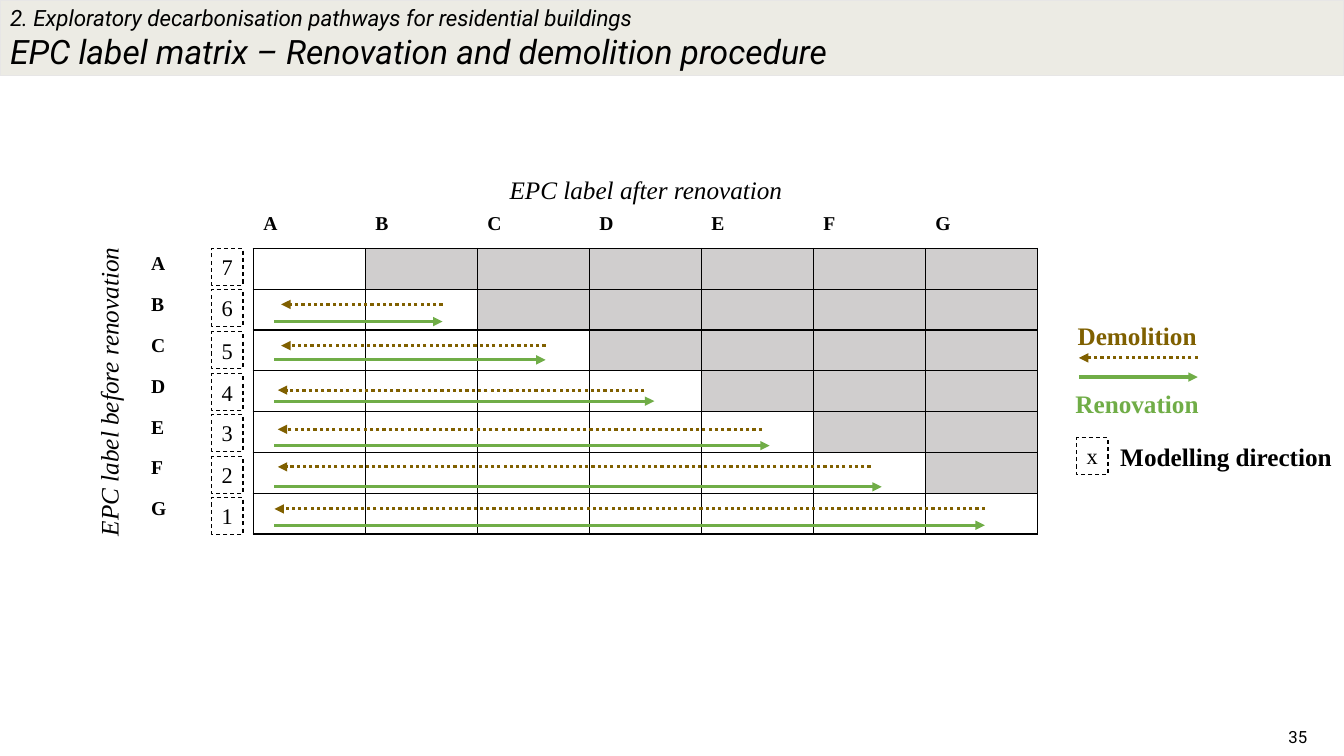
import lxml.etree
import pptx
import pptx.dml.color
import pptx.enum.dml
import pptx.enum.shapes
import pptx.enum.text
import pptx.oxml.ns
import pptx.util

LABELS = "ABCDEFG"
BLACK, WHITE, GREY = "000000", "FFFFFF", "D0CECE"
GREEN, BROWN = "70AD47", "806000"
DOTTED = pptx.enum.dml.MSO_LINE.ROUND_DOT

# Positions in grid columns and rows, for labels B to G: start, end, row
RENOVATIONS = [(1.19, 2.69, 2.79), (1.19, 3.61, 3.73), (1.19, 4.58, 4.74),
               (1.19, 5.61, 5.83), (1.19, 6.61, 6.84), (1.19, 7.53, 7.78)]
DEMOLITIONS = [(2.69, 1.25, 2.37), (3.61, 1.25, 3.38), (4.49, 1.22, 4.47),
               (5.54, 1.22, 5.43), (6.51, 1.22, 6.35), (7.53, 1.19, 7.38)]
STEP_ROWS = [0.99, 2.0, 3.04, 4.07, 5.06, 6.1, 7.09]


def color(hex_string):
    return pptx.dml.color.RGBColor.from_string(hex_string)


def add_xml(parent, tag, **attributes):
    return lxml.etree.SubElement(parent, pptx.oxml.ns.qn(tag), attributes)


class MatrixSlide:
    """Style and drawing methods on a grid that matches the label matrix."""
    LEFT, TOP = 1.4, 2.06
    COLUMN, ROW = 8.89 / 8, 3.24 / 8
    SERIF, SANS = "Times New Roman", "Roboto"

    def __init__(self, deck):
        self.deck = deck
        self.page = deck.slides.add_slide(deck.slide_layouts[5])
        self.shapes = self.page.shapes

    def grid(self, column, row):
        return (pptx.util.Inches(self.LEFT + column * self.COLUMN),
                pptx.util.Inches(self.TOP + row * self.ROW))

    def area(self, column, row, columns, rows):
        return (*self.grid(column, row), pptx.util.Inches(columns * self.COLUMN),
                pptx.util.Inches(rows * self.ROW))

    def share(self, left, top, width, height):
        across, down = self.deck.slide_width, self.deck.slide_height
        return (int(left * across), int(top * down),
                int(width * across), int(height * down))

    def format(self, para, size, font, hex_string=BLACK, bold=False, italic=False):
        for span in para.runs:
            span.font.size = pptx.util.Pt(size)
            span.font.name = font
            span.font.bold, span.font.italic = bold, italic
            span.font.color.rgb = color(hex_string)

    def title(self, lines, sizes):
        band = self.shapes.title
        band.left, band.top, band.width, band.height = self.share(0, 0, 1, 0.1)
        band.fill.solid()
        band.fill.fore_color.rgb = color("ECEBE4")
        band.line.color.rgb = color("E7E6E6")
        band.line.width = pptx.util.Pt(1)
        frame = band.text_frame
        frame.text = "\n".join(lines)
        frame.auto_size = pptx.enum.text.MSO_AUTO_SIZE.NONE
        frame.vertical_anchor = pptx.enum.text.MSO_ANCHOR.MIDDLE
        for para, size in zip(frame.paragraphs, sizes):
            para.alignment = pptx.enum.text.PP_ALIGN.LEFT
            self.format(para, size, self.SANS, italic=True)

    def page_number(self, number):
        box = self.shapes.add_textbox(*self.share(0.73, 0.95, 0.25, 0.05))
        frame = box.text_frame
        frame.text = number
        frame.word_wrap = True
        frame.vertical_anchor = pptx.enum.text.MSO_ANCHOR.MIDDLE
        para = frame.paragraphs[0]
        para.alignment = pptx.enum.text.PP_ALIGN.RIGHT
        self.format(para, 12, self.SANS)

    def fit_text(self, box, text, size, **style):
        frame = box.text_frame
        frame.text = text
        frame.word_wrap = False
        frame.auto_size = pptx.enum.text.MSO_AUTO_SIZE.SHAPE_TO_FIT_TEXT
        frame.vertical_anchor = pptx.enum.text.MSO_ANCHOR.TOP
        para = frame.paragraphs[0]
        para.alignment = pptx.enum.text.PP_ALIGN.LEFT
        self.format(para, size, self.SERIF, **style)

    def label(self, text, column, row, columns, rotation=0, **style):
        box = self.shapes.add_textbox(*self.area(column, row, columns, 0.99))
        box.rotation = rotation
        self.fit_text(box, text, 18, **style)

    def step(self, text, column, row):
        box = self.shapes.add_shape(pptx.enum.shapes.MSO_SHAPE.RECTANGLE,
                                    *self.area(column, row, 0.28, 0.91))
        box.shadow.inherit = False
        box.fill.background()
        box.line.color.rgb = color(BLACK)
        box.line.width = pptx.util.Pt(0.75)
        box.line.dash_style = pptx.enum.dml.MSO_LINE.DASH
        self.fit_text(box, text, 16)

    def arrow(self, start, end, row, hex_string, dash=None):
        arrow = self.shapes.add_connector(pptx.enum.shapes.MSO_CONNECTOR.STRAIGHT,
                                          *self.grid(start, row), *self.grid(end, row))
        arrow.line.color.rgb = color(hex_string)
        arrow.line.width = pptx.util.Pt(2.25)
        if dash is not None:
            arrow.line.dash_style = dash
        properties = arrow.element.spPr
        add_xml(properties.find(pptx.oxml.ns.qn("a:ln")), "a:tailEnd", type="triangle")
        add_xml(properties, "a:effectLst")

    def cell(self, cell, text, fill, borders):
        cell.text = text
        if text:
            self.format(cell.text_frame.paragraphs[0], 14, self.SERIF, bold=True)
        else:
            cell.margin_top = cell.margin_bottom = 0
        properties = cell._tc.get_or_add_tcPr()
        for side, hex_string in zip("LRTB", borders):
            line = add_xml(properties, "a:ln" + side, w=str(pptx.util.Pt(1)))
            add_xml(add_xml(line, "a:solidFill"), "a:srgbClr", val=hex_string)
        cell.fill.solid()
        cell.fill.fore_color.rgb = color(fill)

    def matrix(self, labels):
        count = len(labels) + 1
        table = self.shapes.add_table(count, count, *self.area(0, 0, count, count)).table
        table.first_row = table.horz_banding = False
        for row in range(count):
            for column in range(count):
                header = row == 0 or column == 0
                text = ("", *labels)[row + column] if header else ""
                fill = GREY if not header and column > row else WHITE
                # Borders: left, right, top, bottom
                borders = (BLACK if row and column else WHITE, BLACK if row else WHITE,
                           BLACK if row and column else WHITE, BLACK if column else WHITE)
                self.cell(table.cell(row, column), text, fill, borders)


def main():
    deck = pptx.Presentation()
    deck.slide_width = pptx.util.Inches(13.33)
    deck.slide_height = pptx.util.Inches(7.5)
    slide = MatrixSlide(deck)

    # Title band and page number
    slide.title(["2. Exploratory decarbonisation pathways for residential buildings",
                 "EPC label matrix – Renovation and demolition procedure"], [16, 24])
    slide.page_number("35")

    # Matrix with its axis names
    slide.matrix(LABELS)
    slide.label("EPC label before renovation", -1.68, 3.98, 2.78, rotation=270, italic=True)
    slide.label("EPC label after renovation", 3.2, -0.94, 2.64, italic=True)

    # Arrows, the last pair belonging to the legend
    for start, end, row in RENOVATIONS + [(8.37, 9.43, 4.15)]:
        slide.arrow(start, end, row, GREEN)
    for start, end, row in DEMOLITIONS + [(9.43, 8.37, 3.68)]:
        slide.arrow(start, end, row, BROWN, DOTTED)

    # Modelling order, counted from the bottom row
    for index, row in enumerate(STEP_ROWS):
        slide.step(str(len(STEP_ROWS) - index), 0.63, row)

    # Legend
    slide.label("Demolition", 8.27, 2.64, 1.25, hex_string="7F6000", bold=True)
    slide.label("Renovation", 8.25, 4.3, 1.3, hex_string=GREEN, bold=True)
    slide.step("x", 8.35, 5.63)
    slide.label("Modelling direction", 8.65, 5.6, 2.09, bold=True)

    deck.save("out.pptx")


if __name__ == "__main__":
    main()
